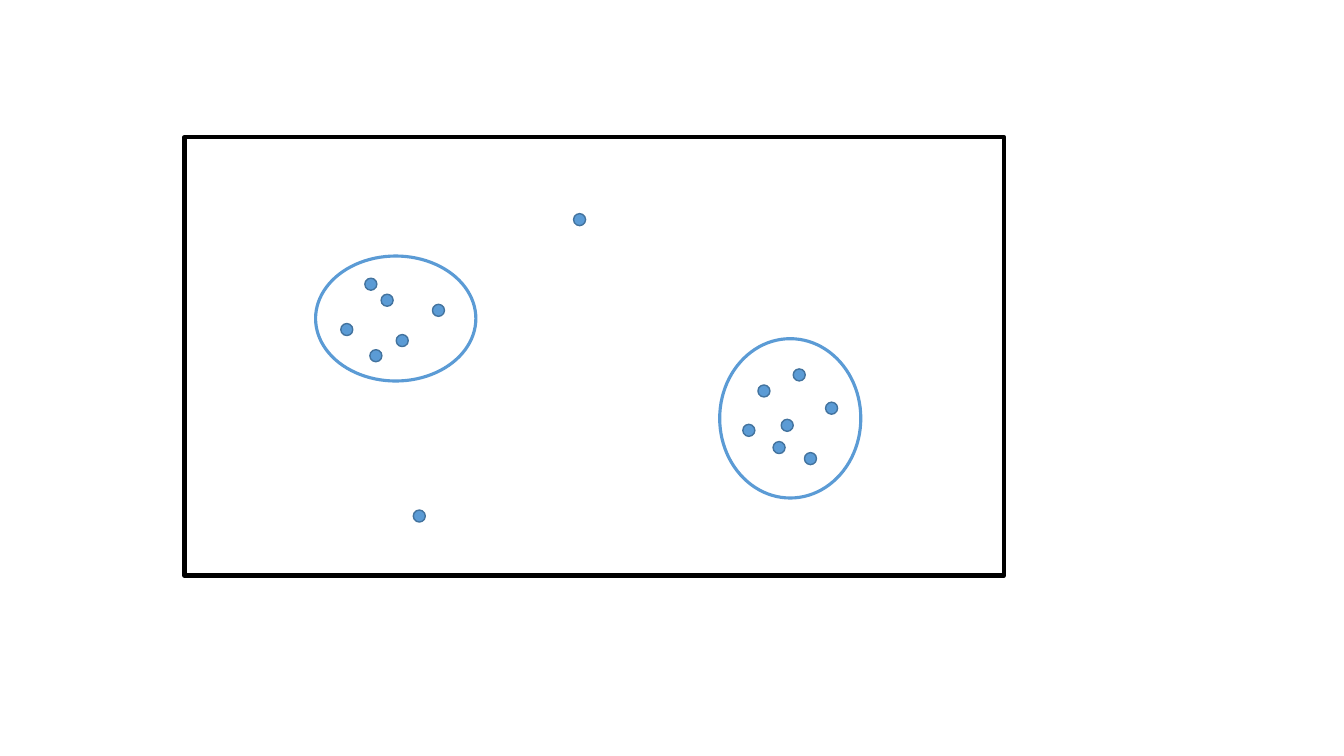
from pptx import Presentation
from pptx.dml.color import RGBColor
from pptx.enum import shapes
from pptx.util import Pt

# Content: all lengths in points
COLORS = {"frame": "000000", "point": "5B9BD5", "point_edge": "43739E", "cluster": "5B9BD5"}
FRAME = (131.8, 97.9, 585.4, 313.2)
POINT_SIZE = 8.6

# Each cluster: outline (left, top, width, height) and its points (left, top)
CLUSTERS = [
    {"outline": (225.4, 182.9, 114.5, 89.3),
     "points": [(260.6, 198.7), (243.4, 231.1), (264.2, 249.8),
                (308.9, 217.4), (272.2, 210.2), (283, 239)]},
    {"outline": (514.1, 241.9, 100.8, 113.8),
     "points": [(566.6, 263.5), (541.4, 275), (589.7, 287.3), (558, 299.5),
                (552.2, 315.4), (530.6, 303.1), (574.6, 323.3)]},
]
OUTLIERS = [(409.7, 152.6), (295.2, 364.3)]

deck = Presentation()
deck.slide_width, deck.slide_height = Pt(960), Pt(540)
page = deck.slides.add_slide(deck.slide_layouts[6])


def add_outline(kind, place, line, weight, fill=None):
    shape = page.shapes.add_shape(kind, *map(Pt, place))
    shape.shadow.inherit = False
    if fill:
        shape.fill.solid()
        shape.fill.fore_color.rgb = RGBColor.from_string(COLORS[fill])
    else:
        shape.fill.background()
    shape.line.color.rgb = RGBColor.from_string(COLORS[line])
    shape.line.width = Pt(weight)


# Frame
add_outline(shapes.MSO_SHAPE.RECTANGLE, FRAME, "frame", 3)

# Points, inside the clusters and outside them
points = [point for cluster in CLUSTERS for point in cluster["points"]] + OUTLIERS
for left, top in points:
    add_outline(shapes.MSO_SHAPE.OVAL, (left, top, POINT_SIZE, POINT_SIZE),
                "point_edge", 1, "point")

# Cluster outlines
for cluster in CLUSTERS:
    add_outline(shapes.MSO_SHAPE.OVAL, cluster["outline"], "cluster", 2.25)

deck.save("out.pptx")
